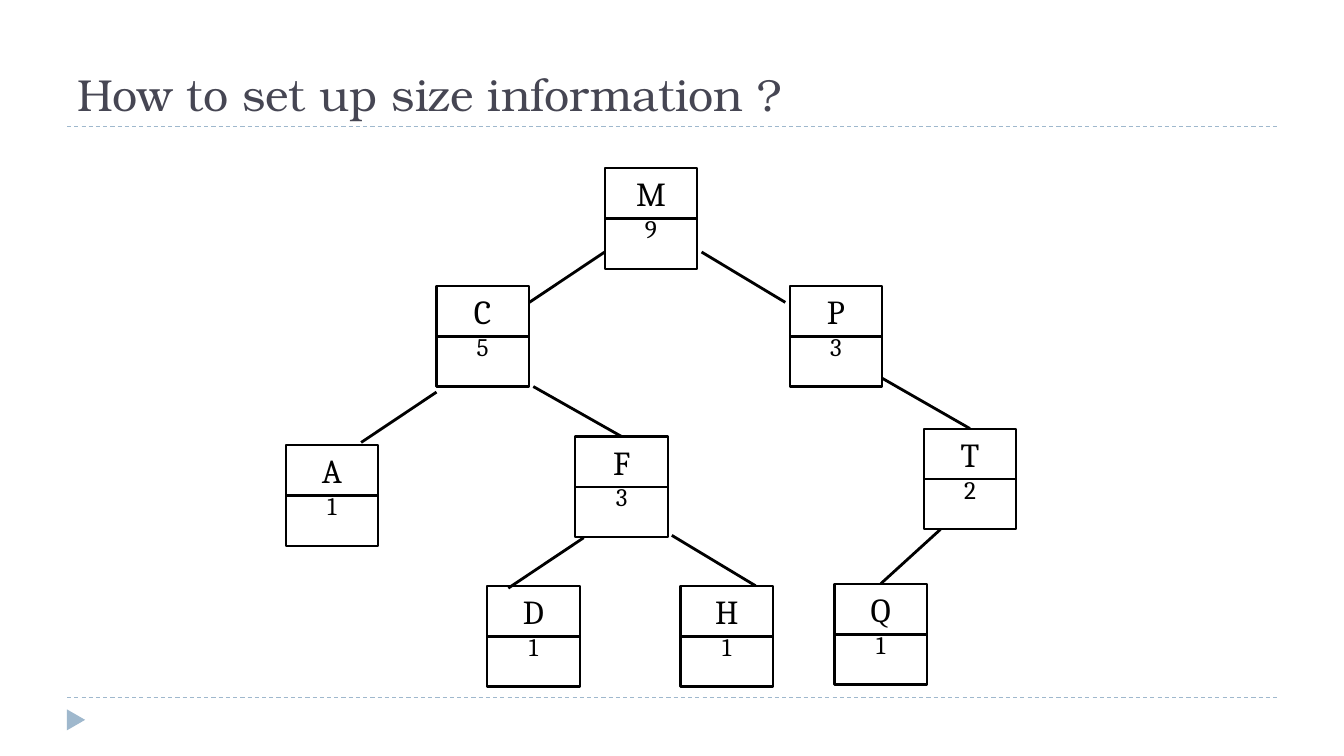
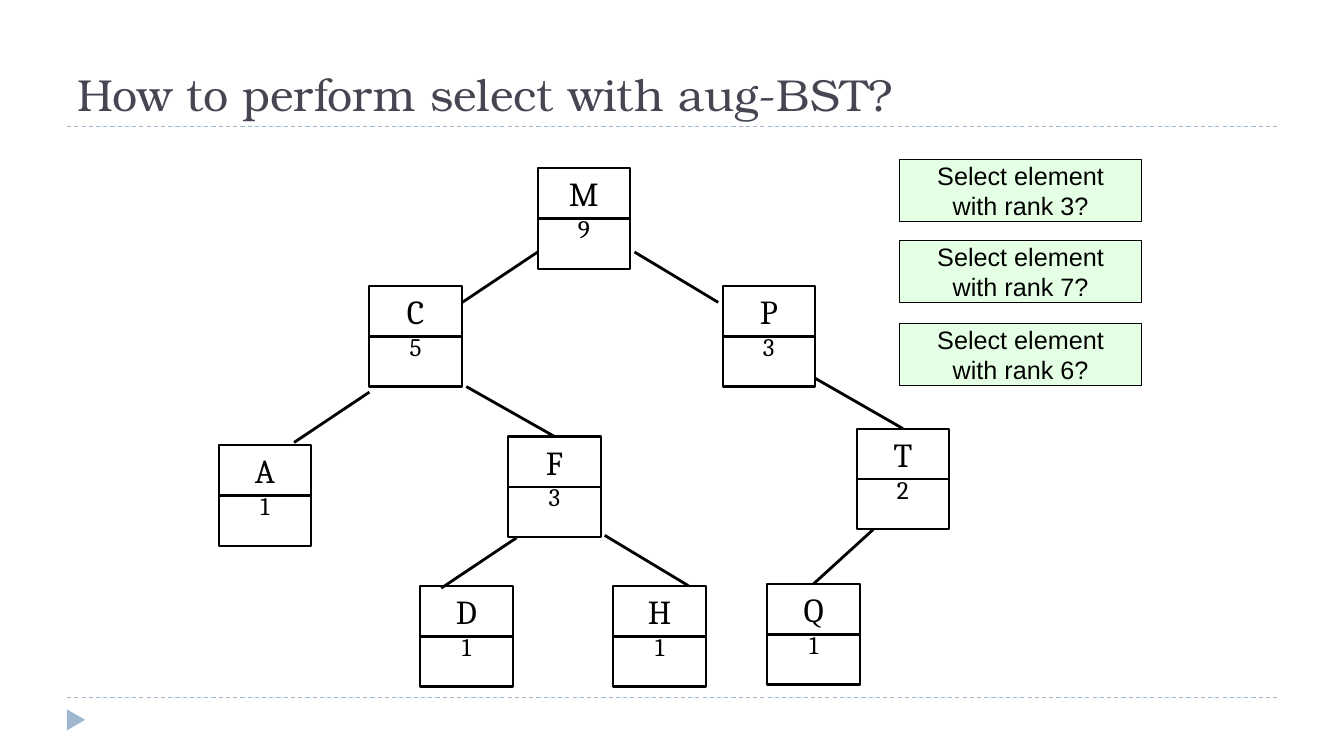
from dataclasses import dataclass
from typing import Any

from lxml.etree import SubElement
from pptx import Presentation
from pptx.dml.color import RGBColor
from pptx.enum.dml import MSO_LINE
from pptx.enum.shapes import MSO_CONNECTOR, MSO_SHAPE
from pptx.enum.text import MSO_ANCHOR, MSO_AUTO_SIZE, PP_ALIGN
from pptx.oxml.ns import qn
from pptx.util import Cm, Pt

BLACK = RGBColor(0x00, 0x00, 0x00)
WHITE = RGBColor(0xFF, 0xFF, 0xFF)
SLATE = RGBColor(0x46, 0x46, 0x53)
STEEL_BLUE = RGBColor(0x9F, 0xB8, 0xCD)
PALE_GREEN = RGBColor(0xCC, 0xFF, 0xCC)

TITLE_FONT = {"name": "TeX Gyre Bonum", "size": Pt(32)}
KEY_FONT = {"name": "Cambria", "size": Pt(24)}
SIZE_FONT = {"name": "Cambria", "size": Pt(18)}
QUESTION_FONT = {"name": "Arial", "size": Pt(18)}

TITLE_BOX = {"left": Cm(1.69), "top": Cm(0.43), "width": Cm(30.48), "height": Cm(2.74)}
TITLE_FRAME = {"vertical_anchor": MSO_ANCHOR.BOTTOM, "auto_size": MSO_AUTO_SIZE.NONE}
NODE_FRAME = {"vertical_anchor": MSO_ANCHOR.TOP, "word_wrap": True}
QUESTION_FRAME = {"vertical_anchor": MSO_ANCHOR.MIDDLE, "word_wrap": False}

RULE_TOPS = (17.58, 3.18)
RULE_LEFT, RULE_RIGHT = 1.69, 32.17
NODE_WIDTH, NODE_HEIGHT = 2.33, 2.54
QUESTION_LEFT, QUESTION_WIDTH, QUESTION_HEIGHT = 22.66, 6.12, 1.57
SHIFTED_LEFT = -1.69


@dataclass(frozen=True)
class Node:
    key: str
    size: int
    left: float
    top: float


@dataclass(frozen=True)
class Edge:
    left: float
    top: float
    across: float
    down: float = 1.27
    child: str = ""


@dataclass(frozen=True)
class Question:
    rank: int
    top: float


NODES = (
    Node("M", 9, 15.24, 4.23),
    Node("C", 5, 11, 7.2),
    Node("A", 1, 7.2, 11.22),
    Node("F", 3, 14.5, 11),
    Node("D", 1, 12.28, 14.76),
    Node("H", 1, 17.15, 14.76),
    Node("P", 3, 19.9, 7.2),
    Node("T", 2, 23.28, 10.8),
    Node("Q", 1, 21.03, 14.71),
)
TO_LEFT, TO_RIGHT = -1.9, 2.11
EDGES = (
    Edge(15.24, 6.35, TO_LEFT),
    Edge(11, 9.88, TO_LEFT),
    Edge(14.71, 13.55, TO_LEFT),
    Edge(17.68, 6.35, TO_RIGHT),
    Edge(22.23, 9.53, TO_RIGHT, child="T"),
    Edge(23.7, 13.34, -1.45, 1.29, child="Q"),
    Edge(16.93, 13.49, TO_RIGHT),
    Edge(13.44, 9.74, TO_RIGHT, child="F"),
)
QUESTIONS = (Question(3, 4.01), Question(7, 6.05), Question(6, 8.15))


def set_values(target: Any, values: dict[str, Any]) -> None:
    for name, value in values.items():
        setattr(target, name, value)


def add_line(shapes: Any, start: tuple[float, float], end: tuple[float, float],
             color: RGBColor = BLACK, width: float = 2) -> Any:
    line = shapes.add_connector(
        MSO_CONNECTOR.STRAIGHT, *(Cm(value) for value in (*start, *end)))
    line.line.color.rgb = color
    line.line.width = Pt(width)
    SubElement(line.element.find(qn("p:spPr")), qn("a:effectLst"))
    return line


def add_box(shapes: Any, left: float, top: float, width: float, height: float,
            fill: RGBColor, line_width: float) -> Any:
    box = shapes.add_shape(
        MSO_SHAPE.RECTANGLE, *(Cm(value) for value in (left, top, width, height)))
    box.shadow.inherit = False
    box.fill.solid()
    box.fill.fore_color.rgb = fill
    box.line.color.rgb = BLACK
    box.line.width = Pt(line_width)
    return box


def write_lines(shape: Any, lines: list[tuple[str, dict[str, Any]]],
                color: RGBColor, alignment: PP_ALIGN) -> None:
    frame = shape.text_frame
    for index, (text, font_values) in enumerate(lines):
        paragraph = frame.add_paragraph() if index else frame.paragraphs[0]
        paragraph.alignment = alignment
        run = paragraph.add_run()
        run.text = text
        set_values(run.font, font_values)
        run.font.color.rgb = color


def decorate_layout(layout: Any, slide: Any) -> None:
    title = layout.placeholders[0]
    set_values(title, TITLE_BOX)
    set_values(title.text_frame, TITLE_FRAME)
    decorations = []
    for top in RULE_TOPS:
        rule = add_line(slide.shapes, (RULE_LEFT, top), (RULE_RIGHT, top), STEEL_BLUE, 0.75)
        rule.line.dash_style = MSO_LINE.DASH
        decorations.append(rule)
    triangle = slide.shapes.add_shape(
        MSO_SHAPE.ISOSCELES_TRIANGLE, Cm(1.65), Cm(17.91), Cm(0.53), Cm(0.46))
    triangle.rotation = 90
    triangle.shadow.inherit = False
    triangle.fill.solid()
    triangle.fill.fore_color.rgb = STEEL_BLUE
    triangle.line.fill.background()
    decorations.append(triangle)
    for shape in decorations:
        layout.shapes.element.append(shape.element)


def add_node(slide: Any, node: Node, shift: float) -> Any:
    group = slide.shapes.add_group_shape()
    left = node.left + shift
    middle = node.top + NODE_HEIGHT / 2
    box = add_box(group.shapes, left, node.top, NODE_WIDTH, NODE_HEIGHT, WHITE, 1.5)
    set_values(box.text_frame, NODE_FRAME)
    write_lines(box, [(node.key, KEY_FONT), (str(node.size), SIZE_FONT)],
                BLACK, PP_ALIGN.CENTER)
    divider = add_line(group.shapes, (left, middle), (left + NODE_WIDTH, middle))
    divider.begin_connect(box, 1)
    divider.end_connect(box, 3)
    return box


def add_tree(slide: Any, shift: float) -> None:
    boxes = {node.key: add_node(slide, node, shift) for node in NODES}
    for edge in EDGES:
        left = edge.left + shift
        line = add_line(slide.shapes, (left, edge.top),
                        (left + edge.across, edge.top + edge.down))
        if edge.child:
            line.end_connect(boxes[edge.child], 0)


def add_question(slide: Any, question: Question) -> None:
    box = add_box(slide.shapes, QUESTION_LEFT, question.top,
                  QUESTION_WIDTH, QUESTION_HEIGHT, PALE_GREEN, 0.75)
    color = box.element.find(qn("p:spPr")).find(qn("a:solidFill"))[0]
    SubElement(color, qn("a:alpha"), val="51000")
    set_values(box.text_frame, QUESTION_FRAME)
    lines = ("Select element", f"with rank {question.rank}?")
    write_lines(box, [(text, QUESTION_FONT) for text in lines], BLACK, PP_ALIGN.CENTER)


def add_tree_slide(presentation: Any, layout: Any, title: str, shift: float = 0) -> Any:
    slide = presentation.slides.add_slide(layout)
    write_lines(slide.shapes.title, [(title, TITLE_FONT)], SLATE, PP_ALIGN.LEFT)
    add_tree(slide, shift)
    return slide


def main() -> None:
    presentation = Presentation()
    presentation.slide_width = Cm(33.87)
    presentation.slide_height = Cm(19.05)
    layout = presentation.slide_layouts.get_by_name("Title Only")

    setup_slide = add_tree_slide(presentation, layout, "How to set up size information ?")
    decorate_layout(layout, setup_slide)

    select_slide = add_tree_slide(
        presentation, layout, "How to perform select with aug-BST?", SHIFTED_LEFT)
    for question in QUESTIONS:
        add_question(select_slide, question)

    presentation.save("out.pptx")


if __name__ == "__main__":
    main()
